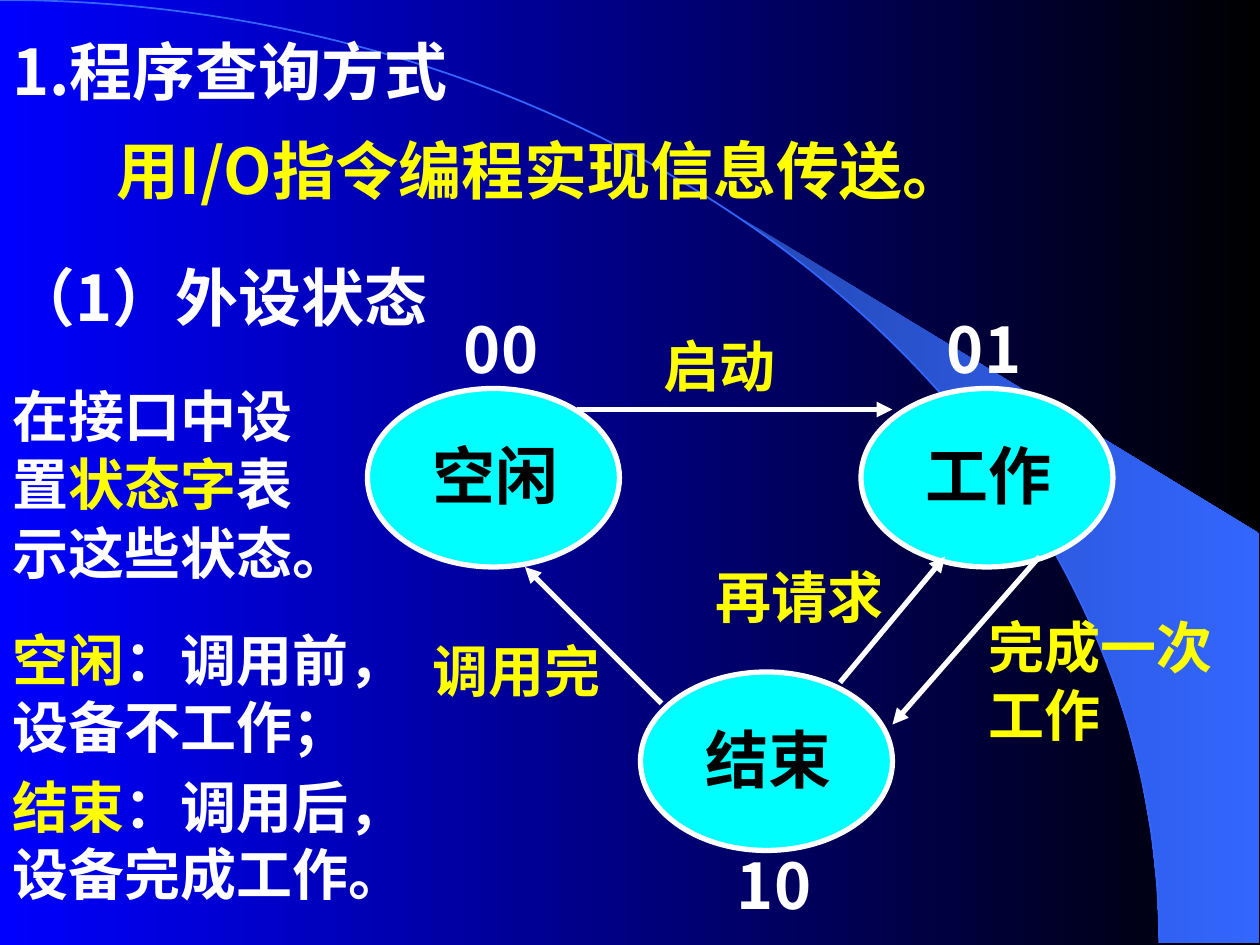
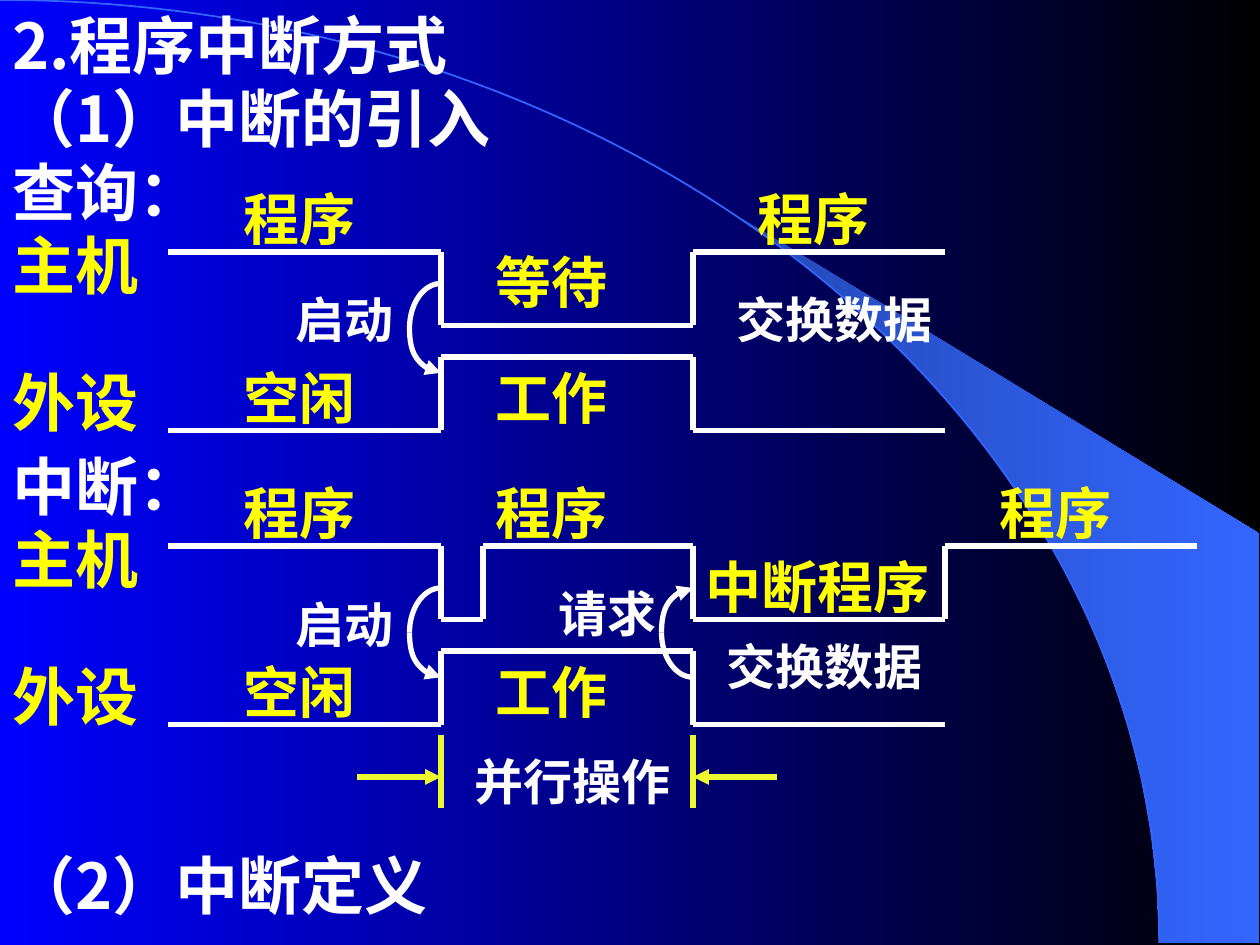
from dataclasses import dataclass
from math import cos, radians, sin

from lxml.etree import SubElement
from pptx import Presentation
from pptx.dml.color import RGBColor
from pptx.enum.shapes import MSO_CONNECTOR as CONN, MSO_SHAPE as SHAPE
from pptx.enum.text import MSO_AUTO_SIZE as AUTO
from pptx.oxml.ns import qn
from pptx.util import Inches, Pt

# Slide grid: 120 columns by 90 rows
COLS, ROWS = 120, 90
W, H = Inches(10), Inches(7.5)
COL, ROW = W / COLS, H / ROWS

COLORS = {
    "blue": "0000FF", "black": "000000", "white": "FFFFFF",
    "yellow": "FFFF00", "lemon": "EEF82E", "cyan": "00FFFF",
    "navy": "2449B6", "azure": "3366FF",
}
EA_FONT = "Noto Sans CJK SC"
LATIN_FONT = "Times New Roman"
HEAD, BODY, SMALL = 36, 32, 28
BOW = 0.55  # handle length of a quarter ellipse, as a share of its radius

Point = tuple[float, float]
Runs = list[tuple[str, str]]


@dataclass
class Label:
    """Text on the grid; paragraphs hold (text, colour) runs."""
    col: float
    row: float
    cols: float
    size: int
    paras: list[Runs]
    font: str = EA_FONT
    rows: float = 0
    spacing: float = 1.0


@dataclass
class Line:
    start: Point
    end: Point
    color: str = "white"
    arrow: bool = False


@dataclass
class Quarter:
    """Quarter ellipse that leaves start level and reaches end upright."""
    start: Point
    end: Point
    color: str = "white"
    width: float = 3
    arrow: bool = False


@dataclass
class Bracket:
    """Half ellipse between two rows, left of a signal edge."""
    col: float
    top: float
    bottom: float
    upward: bool = False


@dataclass
class State:
    col: float
    row: float
    name: str


@dataclass
class Wave:
    """Signal that switches between two levels at each inner edge."""
    first: float
    second: float
    edges: list[float]


def rgb(name: str) -> RGBColor:
    return RGBColor.from_string(COLORS[name])


def head(col: float, row: float, cols: float, text: str,
         color: str = "white") -> Label:
    return Label(col, row, cols, HEAD, [[(text, color)]])


def body(col: float, row: float, cols: float, text: str) -> Label:
    return Label(col, row, cols, BODY, [[(text, "yellow")]], LATIN_FONT)


def small(col: float, row: float, cols: float, text: str) -> Label:
    return Label(col, row, cols, SMALL, [[(text, "white")]], LATIN_FONT)


def set_gradient(fill, first: str, last: str) -> None:
    fill.gradient()
    fill.gradient_angle = 0
    for stop, name in zip(fill.gradient_stops, (first, last)):
        stop.color.rgb = rgb(name)


def set_line(s, color: str, width: float, arrow_end: str = "") -> None:
    s.line.color.rgb = rgb(color)
    s.line.width = Pt(width)
    if arrow_end:
        ln = s._element.spPr.find(qn("a:ln"))
        SubElement(ln, qn(f"a:{arrow_end}"), type="triangle")


def draw_label(slide, label: Label) -> None:
    rows = label.rows or label.size * 0.2 + 1.2
    s = slide.shapes.add_textbox(int(label.col * COL), int(label.row * ROW),
                                 int(label.cols * COL), int(rows * ROW))
    tf = s.text_frame
    tf.word_wrap = True
    tf.auto_size = AUTO.SHAPE_TO_FIT_TEXT
    for i, runs in enumerate(label.paras):
        p = tf.add_paragraph() if i else tf.paragraphs[0]
        if label.spacing != 1:
            p.line_spacing = label.spacing
        if i:
            p.space_before = Pt(label.size / 2)
        for text, color in runs:
            r = p.add_run()
            r.text = text
            r.font.size = Pt(label.size)
            r.font.bold = True
            r.font.name = label.font
            r.font.color.rgb = rgb(color)
            SubElement(r.font._element, qn("a:ea"), typeface=EA_FONT)


def draw_line(slide, line: Line) -> None:
    (x1, y1), (x2, y2) = line.start, line.end
    s = slide.shapes.add_connector(CONN.STRAIGHT, int(x1 * COL), int(y1 * ROW),
                                   int(x2 * COL), int(y2 * ROW))
    set_line(s, line.color, 3, "tailEnd" if line.arrow else "")
    SubElement(s._element.spPr, qn("a:effectLst"))


def draw_path(slide, points: list[Point], closed: bool = False):
    emu = [(int(x * COL), int(y * ROW)) for x, y in points]
    builder = slide.shapes.build_freeform(*emu[0])
    builder.add_line_segments(emu[1:], close=closed)
    s = builder.convert_to_shape()
    s.shadow.inherit = False
    return s


def draw_quarter(slide, arc: Quarter) -> None:
    (x1, y1), (x2, y2) = arc.start, arc.end
    handles = [(x1 + (x2 - x1) * BOW, y1), (x2, y2 + (y1 - y2) * BOW)]
    s = draw_path(slide, [arc.start, *handles, arc.end])
    # Turn the three straight segments into one curve
    path = next(s._element.iter(qn("a:path")))
    curve = SubElement(path, qn("a:cubicBezTo"))
    for segment in path.findall(qn("a:lnTo")):
        curve.append(segment[0])
        path.remove(segment)
    s.fill.background()
    set_line(s, arc.color, arc.width, "headEnd" if arc.arrow else "")


def draw_bracket(slide, b: Bracket) -> None:
    middle = (b.col - 3, (b.top + b.bottom) / 2)
    for row, arrow in ((b.top, b.upward), (b.bottom, not b.upward)):
        draw_quarter(slide, Quarter((b.col, row), middle, arrow=arrow))


def draw_state(slide, state: State) -> None:
    s = slide.shapes.add_shape(SHAPE.OVAL, int(state.col * COL),
                               int(state.row * ROW),
                               int(24 * COL), int(17 * ROW))
    s.shadow.inherit = False
    s.fill.solid()
    s.fill.fore_color.rgb = rgb("cyan")
    set_line(s, "white", 3)
    draw_label(slide, Label(state.col + 5, state.row + 4, 22, HEAD,
                            [[(state.name, "black")]], LATIN_FONT))


def draw_wave(slide, wave: Wave) -> None:
    levels = (wave.first, wave.second)
    for i, (x1, x2) in enumerate(zip(wave.edges, wave.edges[1:])):
        y, other = levels[i % 2], levels[1 - i % 2]
        draw_line(slide, Line((x1, y), (x2, y)))
        if i:
            draw_line(slide, Line((x1, other), (x1, y)))


def add_slide(prs):
    """Blank slide with the shared gradient, swoosh and arc."""
    slide = prs.slides.add_slide(prs.slide_layouts[6])
    set_gradient(slide.background.fill, "blue", "black")
    rx, ry, first, steps = 110.4, 89.8, 39.8, 15
    angles = [radians(first + (90 - first) * i / steps)
              for i in range(steps + 1)]
    edge = [(rx * sin(a), ry * (1 - cos(a))) for a in angles]
    swoosh = draw_path(slide, edge + [(119.9, ry), (119.9, 50.8)], True)
    set_gradient(swoosh.fill, "navy", "azure")
    swoosh.line.fill.background()
    draw_quarter(slide, Quarter((0, 0), (rx, ry), "azure", 1))
    return slide


def build_polling(prs) -> None:
    slide = add_slide(prs)
    states = [State(35, 37, "空闲"), State(82, 37, "工作"),
              State(61, 64, "结束")]
    arrows = [((55, 39), (85, 39)), ((99, 53), (85, 69)),
              ((63, 67), (50, 54)), ((80, 65), (90, 53))]
    labels = [
        # Headings
        head(0, 2.5, 90, "1.程序查询方式"),
        head(9.9, 11.9, 90, "用I/O指令编程实现信息传送。", "yellow"),
        head(0, 24, 56, "（1）外设状态"),
        # State codes
        head(43, 29, 12, "00"), head(89, 29, 12, "01"), head(69, 80, 12, "10"),
        # Transitions
        body(62, 31, 24, "启动"), body(40, 60, 24, "调用完"),
        body(67, 53, 24, "再请求"),
        Label(93, 60, 27, BODY, [[("完成一次", "yellow")], [("工作", "yellow")]],
              LATIN_FONT, 12.1, 0.6),
        # Explanations
        Label(0, 38, 42, BODY,
              [[("在接口中设", "white")],
               [("置", "white"), ("状态字", "yellow"), ("表", "white")],
               [("示这些状态。", "white")]], LATIN_FONT, 19.1, 0.6),
        Label(0, 59, 42, BODY,
              [[("空闲", "yellow"), ("：调用前，设备不工作；", "white")]],
              LATIN_FONT, 14),
        Label(0, 73, 42, BODY,
              [[("结束", "yellow"), ("：调用后，设备完成工作。", "white")]],
              LATIN_FONT, 14),
    ]
    for state in states:
        draw_state(slide, state)
    for start, end in arrows:
        draw_line(slide, Line(start, end, arrow=True))
    for label in labels:
        draw_label(slide, label)


def build_interrupt(prs) -> None:
    slide = add_slide(prs)
    waves = [
        Wave(24, 31, [16, 42, 66, 90]),
        Wave(41, 34, [16, 42, 66, 90]),
        Wave(52, 59, [16, 42, 46, 66, 90, 114]),
        Wave(69, 62, [16, 42, 66, 90]),
    ]
    # Start and request signals between host and device
    brackets = [Bracket(42, 27, 35.5), Bracket(42, 56, 64.5),
                Bracket(66, 56, 64.5, upward=True)]
    # Span of parallel operation
    span = [Line((x, 70), (x, 77), "lemon") for x in (42, 66)]
    span += [Line((x, 74), (tip, 74), "lemon", True)
             for x, tip in ((34, 42), (74, 66))]
    labels = [
        head(0, 0, 90, "2.程序中断方式"),
        head(0, 7, 56, "（1）中断的引入"),
        head(0, 80, 56, "（2）中断定义"),
        # Polling diagram
        body(71, 17, 22, "程序"), body(46, 23, 15, "等待"),
        small(69, 27, 24, "交换数据"),
        # Interrupt diagram
        body(46, 45, 22, "程序"), body(94, 45, 22, "程序"),
        body(66, 52, 27, "中断程序"), small(52, 55, 13, "请求"),
        small(68, 60, 24, "交换数据"), small(44, 71, 27, "并行操作"),
    ]
    # Labels that both diagrams carry
    for title, top, device, start in (("查询：", 14, 34, 27),
                                      ("中断：", 42, 62, 56)):
        labels += [
            head(0, top, 31, title),
            head(0, top + 7, 18, "主机", "yellow"),
            head(0, device, 18, "外设", "yellow"),
            body(22, top + 3, 15, "程序"),
            body(22, device, 15, "空闲"), body(46, device, 15, "工作"),
            small(27, start, 13, "启动"),
        ]
    for wave in waves:
        draw_wave(slide, wave)
    for bracket in brackets:
        draw_bracket(slide, bracket)
    for line in span:
        draw_line(slide, line)
    for label in labels:
        draw_label(slide, label)


def main() -> None:
    prs = Presentation()
    prs.slide_width, prs.slide_height = W, H
    build_polling(prs)
    build_interrupt(prs)
    prs.save("out.pptx")


if __name__ == "__main__":
    main()
